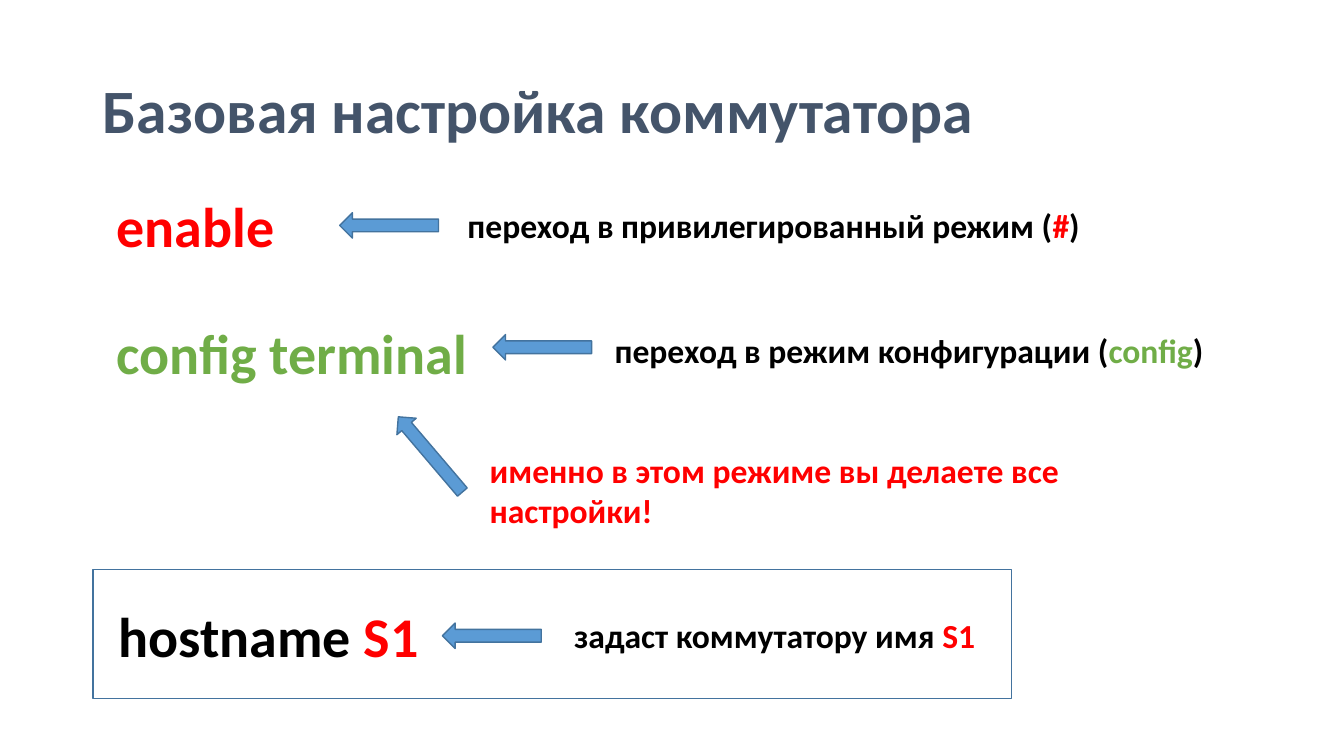
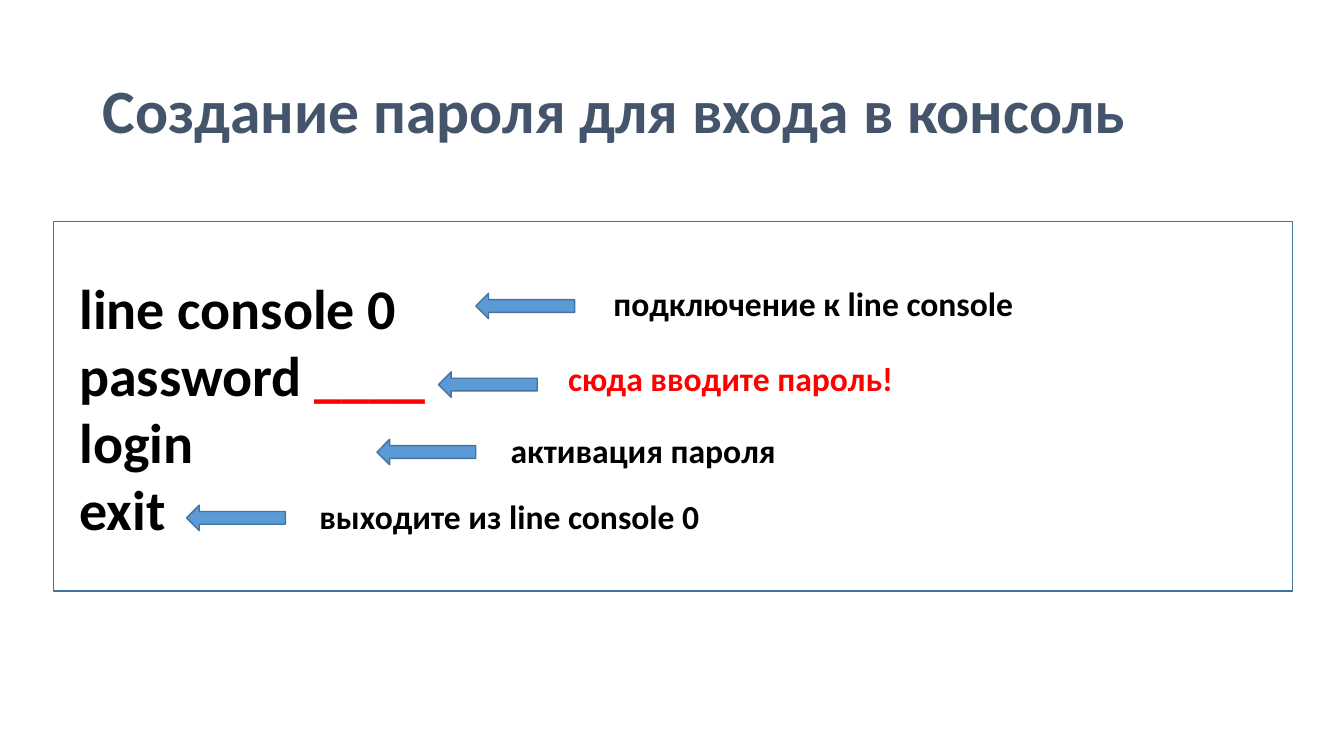
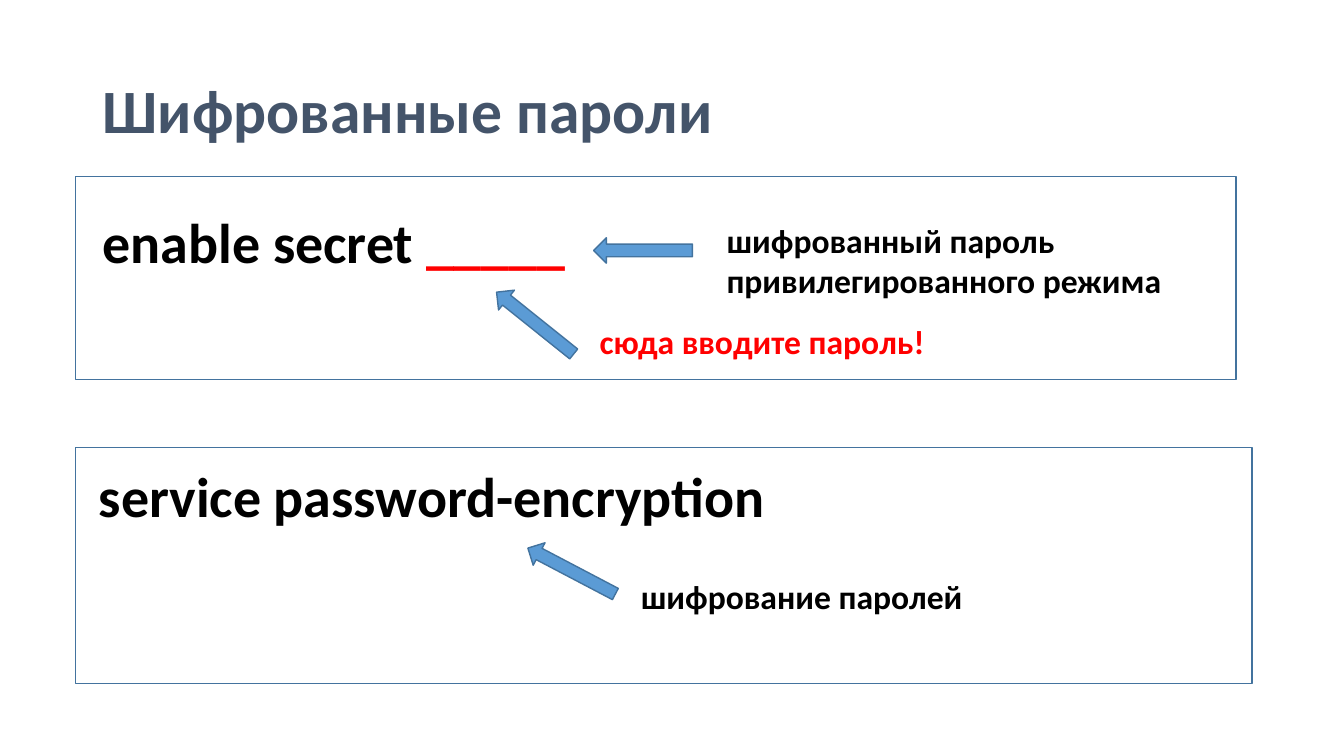
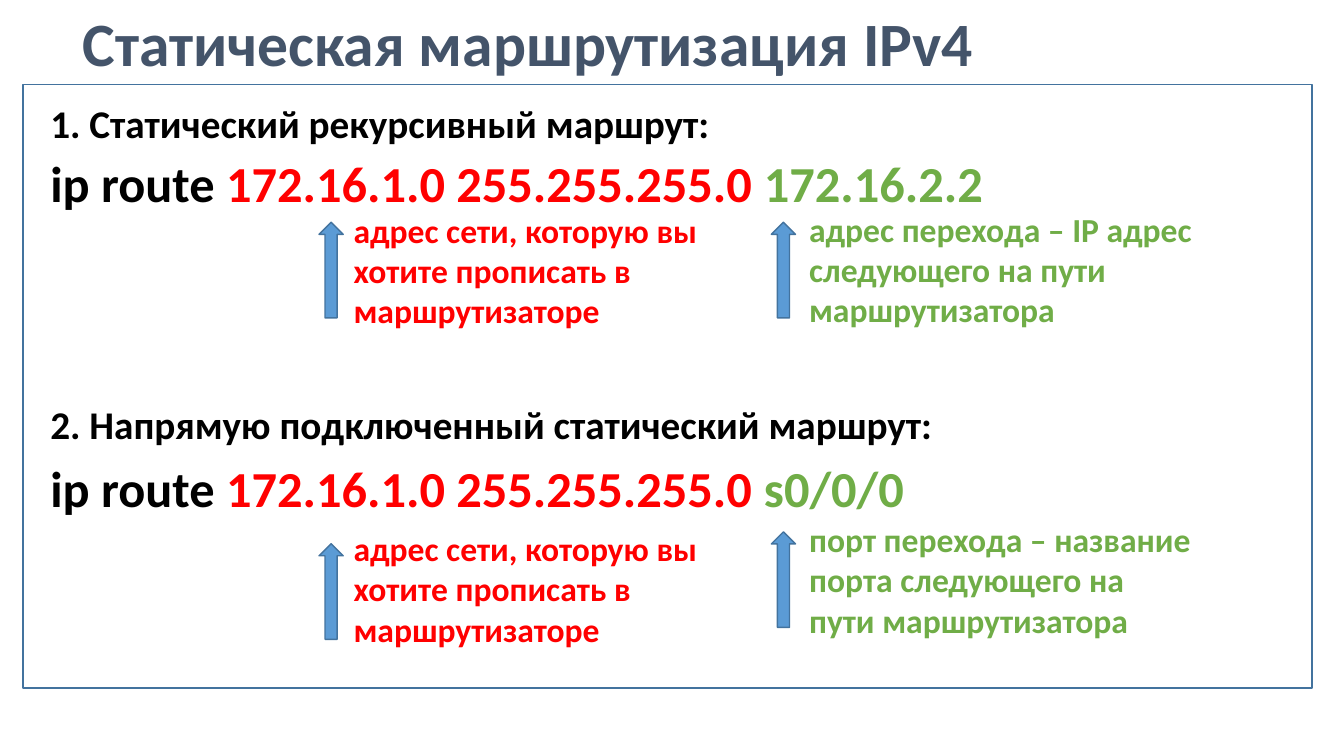
import pptx
import pptx.dml.color
import pptx.enum.shapes
import pptx.enum.text
import pptx.util

Cm = pptx.util.Cm
FONT = "Calibri"
COLORS = {
    "title": "44546A",
    "text": "000000",
    "red": "FF0000",
    "green": "70AD47",
    "arrow": "5B9BD5",
    "outline": "43739E",
}


def rgb(name):
    return pptx.dml.color.RGBColor.from_string(COLORS[name])


def add_text(slide, text, left, top, width=17.07, height=1.27, size=24,
             color="text", anchor="TOP", spacing=1.0):
    """Add bold text: a string, or a list of paragraphs made of (text, colour) runs."""
    paragraphs = [[(text, color)]] if isinstance(text, str) else text
    shape = slide.shapes.add_textbox(Cm(left), Cm(top), Cm(width), Cm(height))
    frame = shape.text_frame
    frame.word_wrap = True
    frame.vertical_anchor = getattr(pptx.enum.text.MSO_ANCHOR, anchor)
    for index, runs in enumerate(paragraphs):
        paragraph = frame.add_paragraph() if index else frame.paragraphs[0]
        paragraph.line_spacing = spacing
        for run_text, run_color in runs:
            run = paragraph.add_run()
            run.text = run_text
            run.font.name = FONT
            run.font.size = pptx.util.Pt(size)
            run.font.bold = True
            run.font.color.rgb = rgb(run_color)


def add_title(slide, text, left=2.34, top=1.02, height=3.68):
    add_text(slide, text, left, top, 29.21, height, size=44, color="title",
             anchor="MIDDLE", spacing=0.9)


def add_command(slide, text, left, top, width, height=1.96, **text_format):
    add_text(slide, text, left, top, width, height, **{"size": 40, **text_format})


def add_outlined(slide, kind, left, top, width, height):
    preset = getattr(pptx.enum.shapes.MSO_SHAPE, kind)
    shape = slide.shapes.add_shape(preset, Cm(left), Cm(top), Cm(width), Cm(height))
    shape.shadow.inherit = False
    shape.line.color.rgb = rgb("outline")
    shape.line.width = pptx.util.Pt(1)
    return shape


def add_frame(slide, left, top, width, height):
    add_outlined(slide, "RECTANGLE", left, top, width, height).fill.background()


def add_arrow(slide, left, top, rotation=180, length=2.49, thickness=0.64):
    """Add a right arrow turned clockwise; left and top are those before turning."""
    shape = add_outlined(slide, "RIGHT_ARROW", left, top, length, thickness)
    shape.fill.solid()
    shape.fill.fore_color.rgb = rgb("arrow")
    shape.rotation = rotation


def build_basic_setup(slide):
    add_title(slide, "Базовая настройка коммутатора")
    add_command(slide, "enable", 2.69, 4.7, 4.78, color="red")
    add_command(slide, "config terminal", 2.69, 7.9, 12.93, color="green")
    add_command(slide, [[("hostname ", "text"), ("S1", "red")]], 2.74, 15.04, 9.19)
    add_text(slide, [[("переход в привилегированный режим (", "text"),
                      ("#", "red"), (")", "text")]], 11.53, 5.03)
    add_text(slide, [[("переход в режим конфигурации (", "text"),
                      ("config", "green"), (")", "text")]], 15.24, 8.2)
    add_text(slide, "именно в этом режиме вы делаете все настройки!",
             12.09, 11.2, height=2.31, color="red")
    add_text(slide, [[("задаст коммутатору имя ", "text"), ("S1", "red")]],
             14.22, 15.37)
    for left, top, rotation in [(8.56, 5.36, 180), (12.42, 8.43, 180),
                                (9.6, 11.13, 229.6), (11.15, 15.7, 180)]:
        add_arrow(slide, left, top, rotation)
    add_frame(slide, 2.34, 14.35, 23.16, 3.25)


def build_console_password(slide):
    add_title(slide, "Создание пароля для входа в консоль")
    add_frame(slide, 1.35, 5.59, 31.22, 9.3)
    add_command(slide, [[("line console 0", "text")],
                        [("password ", "text"), ("____", "red")],
                        [("login", "text")],
                        [("exit", "text")]], 1.75, 6.76, 10.9, 7.09)
    notes = [
        ("подключение к line console", "text", 15.21, 7.01, 11.99, 7.39),
        ("сюда вводите пароль!", "red", 14.07, 8.89, 11.05, 9.37),
        ("активация пароля", "text", 12.62, 10.72, 9.5, 11.07),
        ("выходите из line console 0", "text", 7.8, 12.37, 4.7, 12.73),
    ]
    for text, color, left, top, arrow_left, arrow_top in notes:
        add_text(slide, text, left, top, color=color)
        add_arrow(slide, arrow_left, arrow_top)


def build_encrypted_passwords(slide):
    add_title(slide, "Шифрованные пароли")
    add_frame(slide, 1.91, 4.45, 29.24, 5.11)
    add_command(slide, [[("enable secret ", "text"), ("_____", "red")]],
                2.34, 5.11, 14.71)
    add_text(slide, "шифрованный пароль привилегированного режима",
             18.06, 5.41, 12.01, 2.31)
    add_arrow(slide, 14.96, 5.99)
    add_text(slide, "сюда вводите пароль!", 14.86, 7.95, color="red")
    add_arrow(slide, 12.24, 7.82, 218.7)

    add_frame(slide, 1.91, 11.28, 29.64, 5.94)
    add_command(slide, "service password-encryption", 2.24, 11.51, 17.83)
    add_text(slide, "шифрование паролей", 15.9, 14.4, 12.01)
    add_arrow(slide, 13.16, 14.07, 207.7)


def add_route(slide, heading, heading_top, target, command_top, notes):
    """Add a heading, a route command and the notes below its two addresses."""
    add_text(slide, heading, 1.02, heading_top, 25, 1.45, size=28)
    add_command(slide, [[("ip route ", "text"),
                         ("172.16.1.0 255.255.255.0 ", "red"),
                         (target, "green")]],
                1.02, command_top, 30.25, 1.8, size=36)
    columns = [(8.66, 7.14, "red"), (20.14, 18.54, "green")]
    for (left, arrow_left, color), (text, top, arrow_top) in zip(columns, notes):
        add_text(slide, text, left, top, 10.16, 3.33, color=color)
        add_arrow(slide, arrow_left, arrow_top, 270, 2.41, 0.61)


def build_static_routing(slide):
    add_title(slide, "Статическая маршрутизация IPv4", 1.83, 0, 2.36)
    add_frame(slide, 0.58, 2.13, 32.49, 15.21)
    network_note = "адрес сети, которую вы хотите прописать в маршрутизаторе"
    add_route(slide, "1. Статический рекурсивный маршрут:", 2.39,
              "172.16.2.2", 3.71,
              [(network_note, 5.16, 6.5),
               ("адрес перехода – IP адрес следующего на пути маршрутизатора",
                5.13, 6.5)])
    add_route(slide, "2. Напрямую подключенный статический маршрут:", 9.96,
              "s0/0/0", 11.4,
              [(network_note, 13.18, 14.6),
               ("порт перехода – название порта следующего на пути маршрутизатора",
                12.95, 14.3)])


def main():
    presentation = pptx.Presentation()
    presentation.slide_width = Cm(33.87)
    presentation.slide_height = Cm(19.05)
    blank_layout = presentation.slide_layouts[6]
    for build in (build_basic_setup, build_console_password,
                  build_encrypted_passwords, build_static_routing):
        build(presentation.slides.add_slide(blank_layout))
    presentation.save("out.pptx")


if __name__ == "__main__":
    main()
